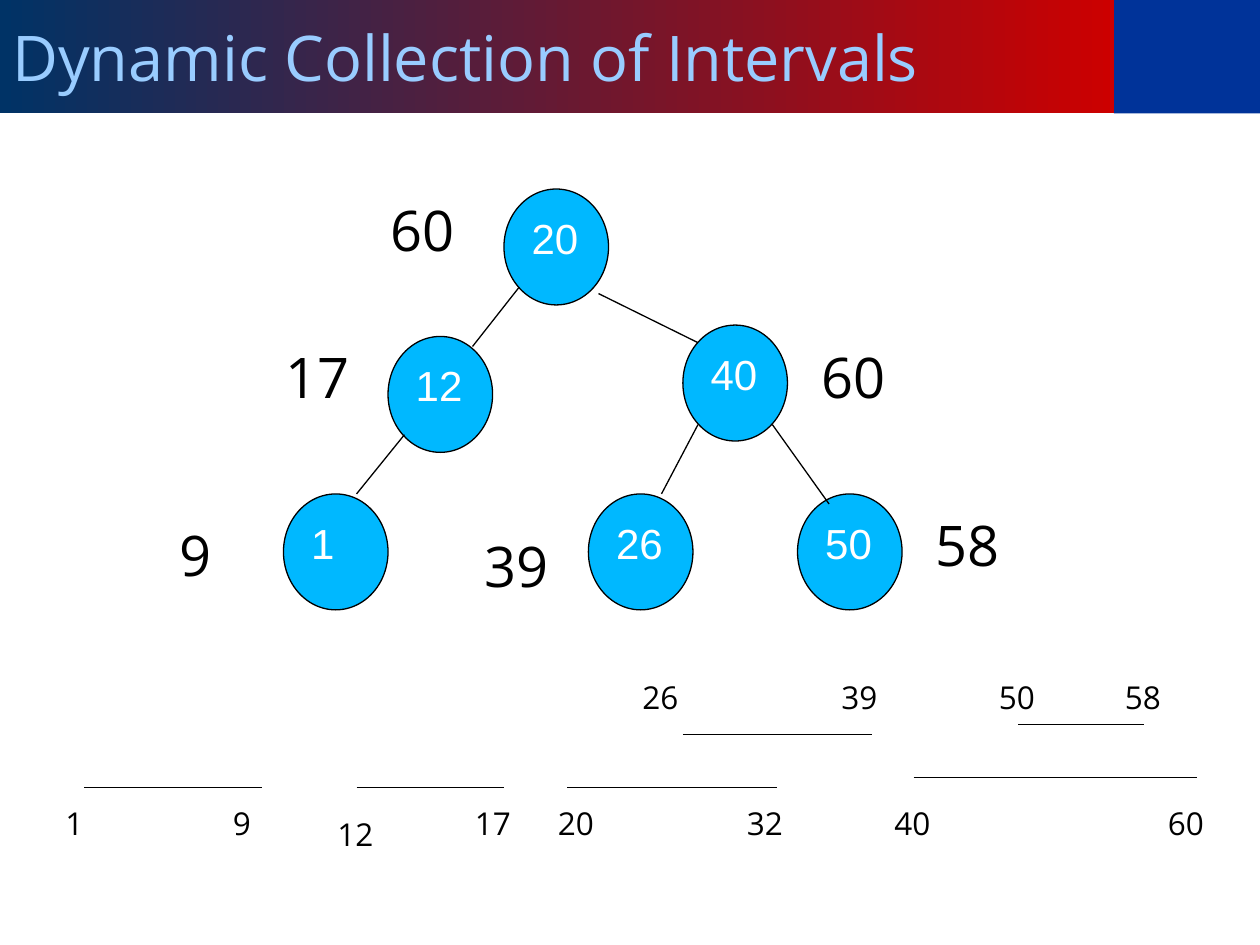
from lxml.etree import SubElement
from pptx import Presentation
from pptx.dml.color import RGBColor
from pptx.enum.shapes import MSO_CONNECTOR, MSO_SHAPE
from pptx.enum.text import MSO_ANCHOR, PP_ALIGN
from pptx.oxml.ns import qn
from pptx.util import Inches, Pt

BLACK, WHITE = "000000", "FFFFFF"
TITLE = {"size": Pt(36), "name": "Open Sans"}
MAXIMUM = {"size": Pt(32), "name": "Open Sans"}
NODE = {"size": Pt(24), "name": "Arial"}
ENDPOINT = {"size": Pt(18), "name": "Open Sans"}
NODE_WIDTH, NODE_HEIGHT = 0.83, 0.92


def color(value):
    return RGBColor.from_string(value)


def write(shape, text, font_values, text_color, anchor=MSO_ANCHOR.TOP):
    frame = shape.text_frame
    frame.word_wrap = True
    frame.vertical_anchor = anchor
    paragraph = frame.paragraphs[0]
    paragraph.alignment = PP_ALIGN.LEFT
    run = paragraph.add_run()
    run.text = text
    for name, value in font_values.items():
        setattr(run.font, name, value)
    run.font.color.rgb = color(text_color)


def add_label(slide, text, left, top, width, height, font_values):
    shape = slide.shapes.add_textbox(*map(Inches, (left, top, width, height)))
    write(shape, text, font_values, BLACK)


def add_plain_shape(slide, kind, left, top, width, height, fill=None):
    shape = slide.shapes.add_shape(kind, *map(Inches, (left, top, width, height)))
    shape.shadow.inherit = False
    shape.line.fill.background()
    if fill:
        shape.fill.solid()
        shape.fill.fore_color.rgb = color(fill)
    return shape


def add_line(slide, *ends):
    line = slide.shapes.add_connector(MSO_CONNECTOR.STRAIGHT, *map(Inches, ends))
    line.line.width = Pt(0.75)
    line.line.color.rgb = color(BLACK)
    SubElement(line._element.spPr, qn("a:effectLst"))


def add_header(slide, left, top, width, height):
    title_width = 8.84
    add_plain_shape(slide, MSO_SHAPE.RECTANGLE, left + title_width, top,
                    width - title_width, height, "003399")
    title = add_plain_shape(slide, MSO_SHAPE.RECTANGLE, left, top, title_width, height)
    title.fill.gradient()
    title.fill.gradient_angle = 180
    for stop, value in zip(title.fill.gradient_stops, ("CC0000", "003366")):
        stop.color.rgb = color(value)
    write(title, "Dynamic Collection of Intervals", TITLE, "99CCFF", MSO_ANCHOR.MIDDLE)


def add_intervals(slide, left, top):
    intervals = [
        (0.25, 0.92, 1.41, (1, 0, 1), (9, 1.33, 1)),
        (2.41, 0.92, 1.17, (12, 2.16, 1.09), (17, 3.25, 1)),
        (4.08, 0.92, 1.67, (20, 3.91, 1), (32, 5.41, 1)),
        (5, 0.5, 1.5, (26, 4.58, 0), (39, 6.16, 0)),
        (6.83, 0.84, 2.25, (40, 6.58, 1), (60, 8.75, 1)),
        (7.66, 0.42, 1, (50, 7.41, 0), (58, 8.41, 0)),
    ]
    for start, height, length, *endpoints in intervals:
        add_line(slide, left + start, top + height, left + start + length, top + height)
        for value, x, y in endpoints:
            add_label(slide, str(value), left + x, top + y, 0.52, 0.4, ENDPOINT)


def add_tree(slide, left, top):
    nodes = [
        ("20", 2.67, 0, "60", 1.67, 0),
        ("12", 1.75, 1.17, "17", 0.84, 1.17),
        ("40", 4.09, 1.08, "60", 5.09, 1.17),
        ("1", 0.92, 2.42, "9", 0, 2.58),
        ("26", 3.34, 2.42, "39", 2.42, 2.67),
        ("50", 5, 2.42, "58", 6, 2.5),
    ]
    edges = [
        (2.79, 0.78, 2.42, 1.25),
        (1.88, 1.95, 1.5, 2.42),
        (3.42, 0.83, 4.21, 1.22),
        (4.21, 1.87, 3.92, 2.42),
        (4.8, 1.87, 5.25, 2.5),
    ]
    for key, x, y, maximum, label_x, label_y in nodes:
        node = add_plain_shape(slide, MSO_SHAPE.OVAL, left + x, top + y,
                               NODE_WIDTH, NODE_HEIGHT, "00B8FF")
        node.line.color.rgb = color(BLACK)
        node.line.width = Pt(0.75)
        write(node, key, NODE, WHITE)
        add_label(slide, maximum, left + label_x, top + label_y, 0.77, 0.64, MAXIMUM)
    for x1, y1, x2, y2 in edges:
        add_line(slide, left + x1, top + y1, left + x2, top + y2)


presentation = Presentation()
presentation.slide_width = Inches(10)
presentation.slide_height = Inches(7.5)
slide = presentation.slides.add_slide(presentation.slide_layouts[6])
add_header(slide, 0, 0, 10, 0.9)
add_intervals(slide, 0.42, 5.33)
add_tree(slide, 1.33, 1.5)
presentation.save("out.pptx")
